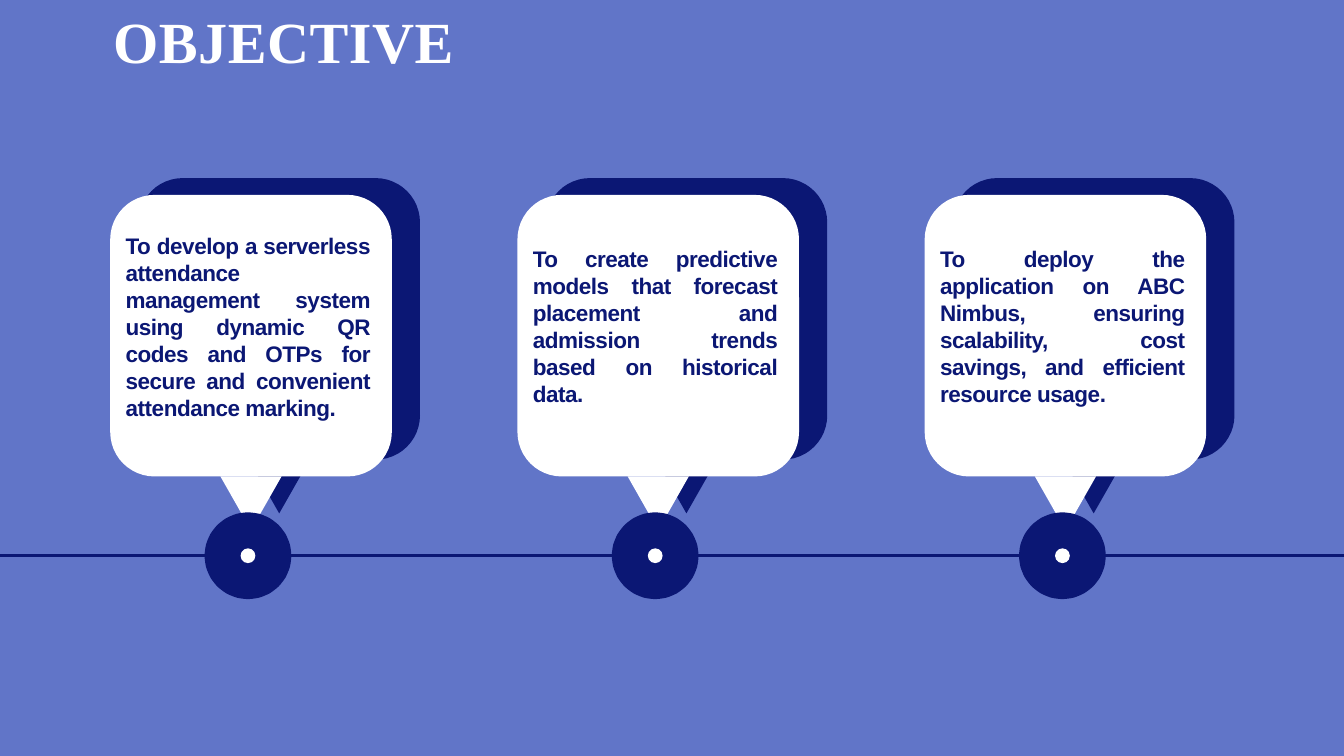
from dataclasses import dataclass
from lxml.etree import SubElement
from pptx import Presentation
from pptx.dml.color import RGBColor
from pptx.enum.shapes import MSO_CONNECTOR, MSO_SHAPE
from pptx.enum.text import MSO_AUTO_SIZE, PP_ALIGN
from pptx.oxml.ns import qn
from pptx.shapes.autoshape import Shape
from pptx.slide import Slide
from pptx.util import Inches, Pt


@dataclass(frozen=True)
class Theme:
    back: RGBColor = RGBColor(0x61, 0x75, 0xC8)
    navy: RGBColor = RGBColor(0x0B, 0x17, 0x74)
    pale: RGBColor = RGBColor(0xAE, 0xB5, 0xEB)
    white: RGBColor = RGBColor(0xFF, 0xFF, 0xFF)
    title: float = 62.4
    body: float = 24.1


@dataclass(frozen=True)
class Style:
    font: str
    size: float
    color: RGBColor
    lead: float
    track: int
    align: PP_ALIGN


@dataclass(frozen=True)
class Goal:
    text: str
    top: float
    height: float


THEME = Theme()
TITLE = Style("Times New Roman", THEME.title, THEME.white, 74.9, 60, PP_ALIGN.CENTER)
BODY = Style("Arial", THEME.body, THEME.navy, 28.9, -50, PP_ALIGN.JUSTIFY)
GOALS = (
    Goal("To develop a serverless attendance management system using dynamic QR codes "
         "and OTPs for secure and convenient attendance marking.", 3.45, 3.17),
    Goal("To create predictive models that forecast placement and admission trends "
         "based on historical data.", 3.65, 2.38),
    Goal("To deploy the application on ABC Nimbus, ensuring scalability, cost savings, "
         "and efficient resource usage.", 3.65, 2.77),
)
LEFT, STEP = 1.64, 6.06
SIDE, ROUND = 4.19, 0.66
TIP_WIDTH, TIP_HEIGHT = 0.91, 0.8
AXIS = 8.27


def add_form(slide: Slide, kind: MSO_SHAPE, left: float, top: float,
             width: float, height: float, color: RGBColor) -> Shape:
    form = slide.shapes.add_shape(
        kind, Inches(left), Inches(top), Inches(width), Inches(height))
    form.shadow.inherit = False
    form.fill.solid()
    form.fill.fore_color.rgb = color
    form.line.fill.background()
    return form


def add_bubble(slide: Slide, left: float, top: float, color: RGBColor) -> None:
    card = add_form(slide, MSO_SHAPE.ROUNDED_RECTANGLE, left, top, SIDE, SIDE, color)
    card.adjustments[0] = ROUND / SIDE
    add_form(slide, MSO_SHAPE.FLOWCHART_MERGE, left + (SIDE - TIP_WIDTH) / 2,
             top + SIDE, TIP_WIDTH, TIP_HEIGHT, color)


def add_dot(slide: Slide, center: float, size: float, color: RGBColor) -> Shape:
    return add_form(slide, MSO_SHAPE.OVAL, center - size / 2, AXIS - size / 2,
                    size, size, color)


def add_mark(slide: Slide, center: float) -> None:
    ring = add_dot(slide, center, 0.5, THEME.pale)
    ring.line.color.rgb = THEME.navy
    ring.line.width = Pt(57)
    add_dot(slide, center, 0.22, THEME.white)


def add_text(slide: Slide, text: str, left: float, top: float,
             width: float, height: float, style: Style) -> None:
    box = slide.shapes.add_textbox(
        Inches(left), Inches(top), Inches(width), Inches(height))
    frame = box.text_frame
    frame.word_wrap = True
    frame.auto_size = MSO_AUTO_SIZE.SHAPE_TO_FIT_TEXT
    frame.margin_left = frame.margin_right = 0
    frame.margin_top = frame.margin_bottom = 0
    line = frame.paragraphs[0]
    line.text = text
    line.alignment = style.align
    line.line_spacing = Pt(style.lead)
    font = line.font
    font.name = style.font
    font.size = Pt(style.size)
    font.bold = True
    font.color.rgb = style.color
    line.runs[0].font._element.set("spc", str(style.track))


def add_axis(slide: Slide) -> None:
    axis = slide.shapes.add_connector(
        MSO_CONNECTOR.STRAIGHT, 0, Inches(AXIS), Inches(20), Inches(AXIS))
    axis.line.color.rgb = THEME.navy
    axis.line.width = Pt(3)
    SubElement(axis._element.spPr, qn("a:effectLst"))


def main() -> None:
    deck = Presentation()
    deck.slide_width, deck.slide_height = Inches(20), Inches(11.25)
    slide = deck.slides.add_slide(deck.slide_layouts[6])
    slide.background.fill.solid()
    slide.background.fill.fore_color.rgb = THEME.back

    lefts = [LEFT + STEP * place for place in range(len(GOALS))]
    for left in lefts:
        add_bubble(slide, left + 0.42, 2.65, THEME.navy)
        add_bubble(slide, left, 2.9, THEME.white)
    add_axis(slide)
    for left in lefts:
        add_mark(slide, left + 2.05)
    add_text(slide, "OBJECTIVE", LEFT, 0.08, 5.16, 1.17, TITLE)
    for left, goal in zip(lefts, GOALS):
        add_text(slide, goal.text, left + 0.23, goal.top, 3.64, goal.height, BODY)
    deck.save("out.pptx")


if __name__ == "__main__":
    main()
